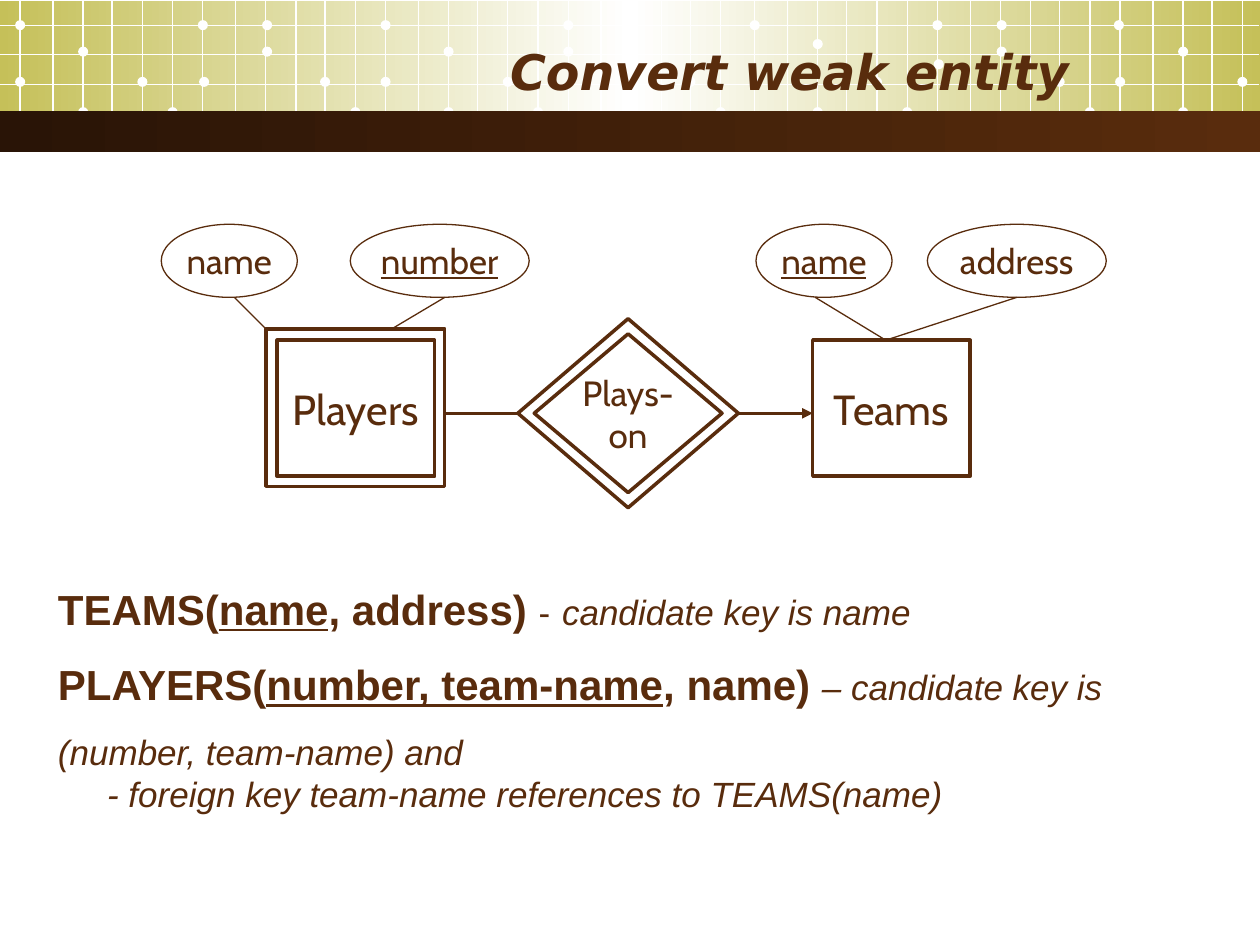
from copy import deepcopy
from dataclasses import dataclass
from itertools import product

from lxml import etree
from pptx import Presentation
from pptx import util as u
from pptx.dml.color import RGBColor
from pptx.enum import shapes, text
from pptx.oxml.ns import qn
from pptx.slide import Slide

BROWN = RGBColor(0x59, 0x2C, 0x0D)
DARK = RGBColor(0x29, 0x14, 0x06)
OLIVE = RGBColor(0xC5, 0xC0, 0x59)
WHITE = RGBColor(0xFF, 0xFF, 0xFF)

RECT = shapes.MSO_SHAPE.RECTANGLE
OVAL = shapes.MSO_SHAPE.OVAL
DIAMOND = shapes.MSO_SHAPE.DIAMOND

COLUMN_STARTS = (0.16, 3.06, 5.99, 8.89)
COLUMN_OFFSETS = (0, 0.26, 0.5, 0.73, 0.97, 1.21, 1.45, 1.71, 1.95, 2.19, 2.42, 2.66)
GRID_ROWS = (0.2, 0.43, 0.67, 0.89)
DOT_ROWS = {
    0.16: (0.12, 1.57, 2.08, 3.02, 4.47, 4.97, 5.95, 7.4, 7.91, 8.84),
    0.31: (6.45,),
    0.37: (0.62, 2.08, 3.52, 4.47, 4.97, 7.91, 9.35),
    0.47: (7.41,),
    0.61: (0.12, 1.09, 1.58, 2.54, 3.02, 3.99, 5.44, 5.95, 6.92, 8.37, 8.85, 9.82),
    0.85: (0.62, 1.33, 2.78, 3.52, 4.23, 5.68, 6.45, 7.16, 8.61, 9.35),
}

HEAVY = {"size": u.Pt(24), "bold": True, "italic": False}
KEY = HEAVY | {"underline": True}
NOTE = {"size": u.Pt(20), "bold": False, "italic": True}
DASH = NOTE | {"italic": False}

SCHEMA = (
    (1.5, 0, (("TEAMS(", HEAVY), ("name", KEY), (", address) ", HEAVY),
              ("-", DASH), (" ", HEAVY), ("candidate key is name", NOTE))),
    (1.5, 0, (("PLAYERS(", HEAVY), ("number, team-name", KEY), (", name) ", HEAVY),
              ("– candidate key is (number, team-name) and", NOTE))),
    (1, 0.39, (("- foreign key team-name references to TEAMS(name)", NOTE),)),
)


def apply(target, values):
    for name, value in values.items():
        setattr(target, name, value)


def place(shape, left, top, width, height):
    apply(shape, {"left": u.Inches(left), "top": u.Inches(top),
                  "width": u.Inches(width), "height": u.Inches(height)})


@dataclass
class Diagram:
    page: Slide
    ink: RGBColor = BROWN
    font: str = "Cabin"
    thin: float = 0.75
    thick: float = 2

    def add_span(self, para, words, values):
        span = para.add_run()
        span.text = words
        span.font.color.rgb = self.ink
        apply(span.font, {"name": self.font} | values)

    def shape(self, kind, left, top, width, height):
        box = self.page.shapes.add_shape(kind, *map(u.Inches, (left, top, width, height)))
        box.shadow.inherit = False
        return box

    def band(self, top, height, colors):
        box = self.shape(RECT, 0, top, 10, height)
        box.line.fill.background()
        box.fill.gradient()
        box.fill.gradient_angle = 0
        stop_list = box.element.spPr.find(qn("a:gradFill")).find(qn("a:gsLst"))
        for _ in colors[2:]:
            stop_list.append(deepcopy(stop_list[0]))
        for index, (stop, color) in enumerate(zip(box.fill.gradient_stops, colors)):
            stop.position = index / (len(colors) - 1)
            stop.color.rgb = color

    def dot(self, left, top):
        box = self.shape(OVAL, left, top, 0.08, 0.08)
        box.fill.solid()
        box.fill.fore_color.rgb = WHITE
        box.line.fill.background()

    def outline(self, kind, at, weight, lines=(), **values):
        box = self.shape(kind, *at)
        box.fill.background()
        box.line.color.rgb = self.ink
        box.line.width = u.Pt(weight)
        frame = box.text_frame
        apply(frame, {"word_wrap": False, "vertical_anchor": text.MSO_ANCHOR.MIDDLE})
        for index, words in enumerate(lines):
            para = frame.add_paragraph() if index else frame.paragraphs[0]
            para.alignment = text.PP_ALIGN.CENTER
            self.add_span(para, words, values)

    def attribute(self, words, left, width, underline=False):
        self.outline(OVAL, (left, 1.78, width, 0.58), self.thin, (words,),
                     size=u.Pt(20), underline=underline)

    def line(self, start, end, color, weight, arrow=False):
        link = self.page.shapes.add_connector(
            shapes.MSO_CONNECTOR.STRAIGHT, *map(u.Inches, (*start, *end)))
        link.line.color.rgb = color
        link.line.width = u.Pt(weight)
        properties = link.element.spPr
        if arrow:
            etree.SubElement(properties.find(qn("a:ln")), qn("a:tailEnd"), type="triangle")
        etree.SubElement(properties, qn("a:effectLst"))

    def title(self, words, at):
        box = self.page.shapes.title
        box.element.getparent().append(box.element)
        place(box, *at)
        apply(box.text_frame, {"vertical_anchor": text.MSO_ANCHOR.MIDDLE,
                               "auto_size": text.MSO_AUTO_SIZE.NONE})
        para = box.text_frame.paragraphs[0]
        para.alignment = text.PP_ALIGN.RIGHT
        self.add_span(para, words, {"name": "DejaVu Sans", "size": u.Pt(28),
                                    "bold": True, "italic": True})

    def body(self, rows, at):
        box = self.page.placeholders[1]
        place(box, *at)
        frame = box.text_frame
        apply(frame, {"word_wrap": True, "auto_size": text.MSO_AUTO_SIZE.NONE})
        for index, (spacing, indent, spans) in enumerate(rows):
            para = frame.add_paragraph() if index else frame.paragraphs[0]
            apply(para, {"line_spacing": spacing, "space_before": u.Pt(0),
                         "space_after": u.Pt(0)})
            properties = para._p.get_or_add_pPr()
            properties.set("marL", str(u.Inches(indent)))
            properties.set("indent", "0")
            etree.SubElement(properties, qn("a:buNone"))
            for words, values in spans:
                self.add_span(para, words, {"name": "Arial"} | values)


def main():
    deck = Presentation()
    deck.slide_width, deck.slide_height = u.Inches(10), u.Inches(7.5)
    diagram = Diagram(deck.slides.add_slide(deck.slide_layouts[1]))
    thin, thick = diagram.thin, diagram.thick

    diagram.band(0.01, 1.02, (OLIVE, WHITE, OLIVE))
    for start, offset in product(COLUMN_STARTS, COLUMN_OFFSETS):
        x = start + offset
        if x < 10:
            diagram.line((x, 0), (x, 1.1), WHITE, thin)
    for y in GRID_ROWS:
        diagram.line((0, y), (9.99, y), WHITE, thin)
    for top, lefts in DOT_ROWS.items():
        for left in lefts:
            diagram.dot(left, top)
    diagram.band(0.88, 0.33, (DARK, BROWN))

    diagram.title("Convert weak entity", (0.5, 0.25, 8.08, 0.62))
    diagram.body(SCHEMA, (0.36, 4.38, 9.21, 2.14))

    for words, left in (("Players", 2.2), ("Teams", 6.45)):
        diagram.outline(RECT, (left, 2.7, 1.25, 1.08), thick, (words,), size=u.Pt(24))
    diagram.outline(RECT, (2.11, 2.61, 1.42, 1.25), thick)
    diagram.outline(DIAMOND, (4.24, 2.65, 1.49, 1.26), thick, ("Plays-", "on"), size=u.Pt(20))
    diagram.outline(DIAMOND, (4.11, 2.53, 1.75, 1.5), thick)

    diagram.attribute("name", 1.28, 1.08)
    diagram.attribute("number", 2.78, 1.42, underline=True)
    diagram.attribute("name", 6, 1.08, underline=True)
    diagram.attribute("address", 7.36, 1.42)

    for x, end in ((1.86, (2.11, 2.61)), (3.53, (3.11, 2.61)),
                   (6.47, (7.03, 2.7)), (8.07, (7.03, 2.7))):
        diagram.line((x, 2.36), end, BROWN, thin)
    diagram.line((3.53, 3.28), (4.11, 3.28), BROWN, thick)
    diagram.line((5.86, 3.28), (6.45, 3.28), BROWN, thick, arrow=True)

    deck.save("out.pptx")


if __name__ == "__main__":
    main()
